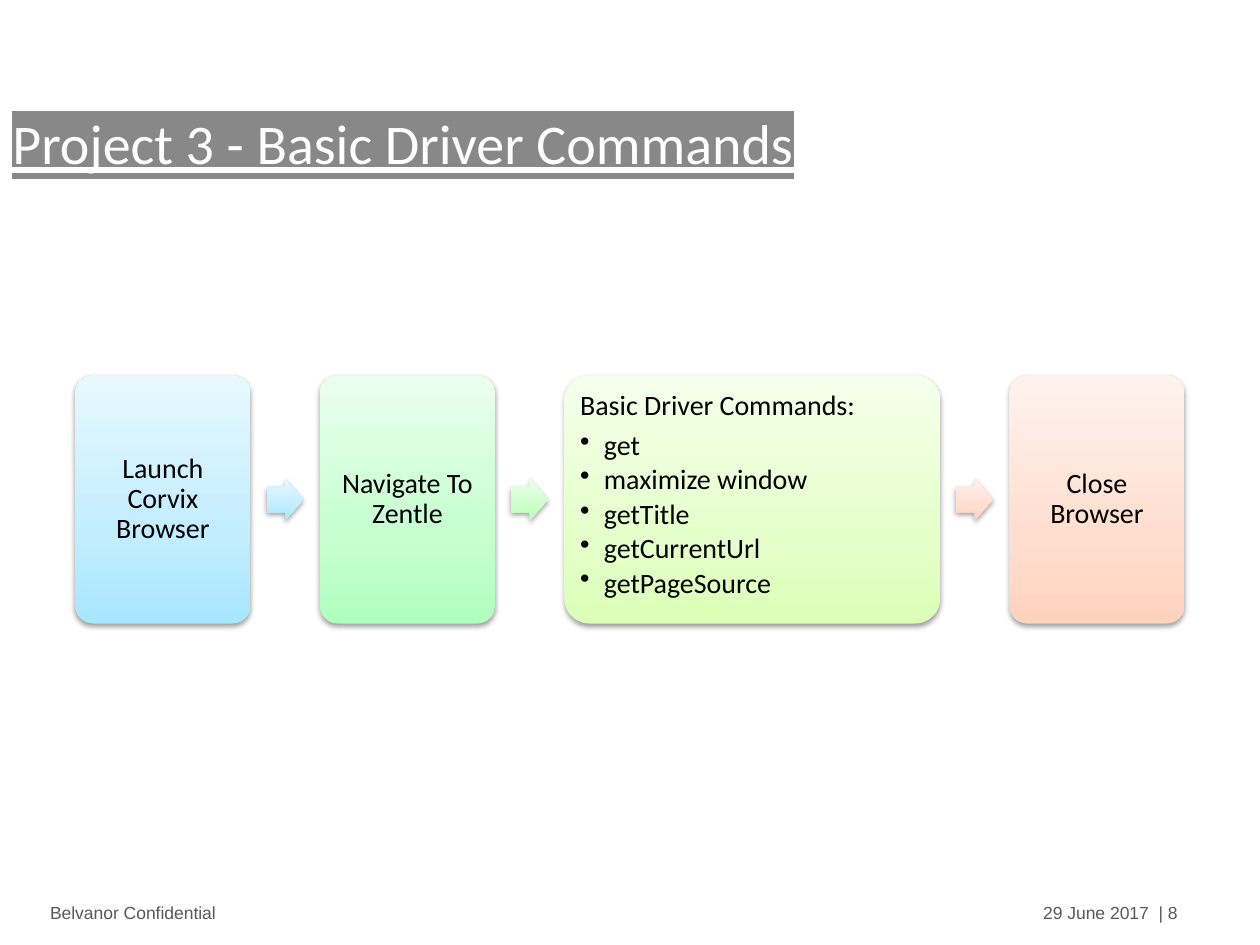
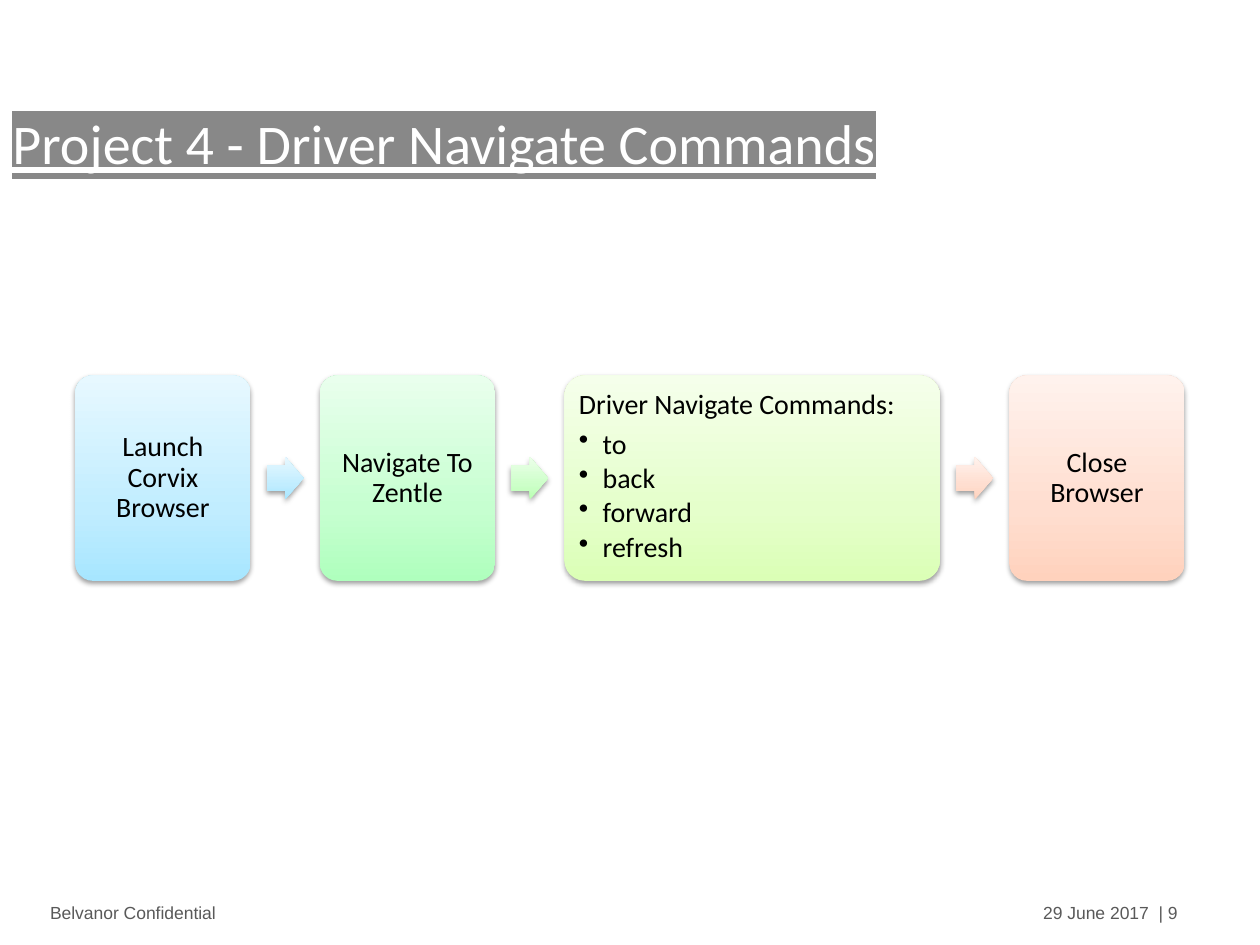
from copy import deepcopy

from lxml import etree
from pptx import Presentation
from pptx.dml.color import RGBColor
from pptx.enum.shapes import MSO_SHAPE
from pptx.enum.text import MSO_ANCHOR, PP_ALIGN
from pptx.oxml.ns import qn
from pptx.util import Cm, Pt

ROUNDED, ARROW = MSO_SHAPE.ROUNDED_RECTANGLE, MSO_SHAPE.RIGHT_ARROW
LEFT, CENTER = PP_ALIGN.LEFT, PP_ALIGN.CENTER
TOP, MIDDLE = MSO_ANCHOR.TOP, MSO_ANCHOR.MIDDLE

# Content
FOOTER = "Belvanor Confidential"
DATE = "29 June 2017"
LAUNCH, NAVIGATE, CLOSE = "Launch Corvix Browser", "Navigate To Zentle", "Close Browser"
PROJECTS = [
    {"title": "Project 3 - Basic Driver Commands", "number": 8, "height": 5.0,
     "heading": "Basic Driver Commands:",
     "commands": ["get", "maximize window", "getTitle", "getCurrentUrl", "getPageSource"]},
    {"title": "Project 4 - Driver Navigate Commands", "number": 9, "height": 4.14,
     "heading": "Driver Navigate Commands:",
     "commands": ["to", "back", "forward", "refresh"]},
]

# Colours: each gradient runs from the bottom up
WHITE = RGBColor(0xFF, 0xFF, 0xFF)
BLACK = RGBColor(0, 0, 0)
FOOTER_GRAY = RGBColor(0x59, 0x59, 0x59)
TITLE_GRAY = RGBColor(0x88, 0x88, 0x88)
BLUE = [RGBColor(0xA7, 0xE6, 0xFF), RGBColor(0xC1, 0xED, 0xFF), RGBColor(0xE7, 0xF8, 0xFF)]
MINT = [RGBColor(0xAF, 0xFF, 0xBD), RGBColor(0xC6, 0xFF, 0xD0), RGBColor(0xE9, 0xFF, 0xED)]
GREEN = [RGBColor(0xB9, 0xFF, 0xB2), RGBColor(0xCD, 0xFF, 0xC9), RGBColor(0xEC, 0xFF, 0xEA)]
LIME = [RGBColor(0xDB, 0xFF, 0xB6), RGBColor(0xE5, 0xFF, 0xCB), RGBColor(0xF5, 0xFF, 0xEB)]
PEACH = [RGBColor(0xFF, 0xD2, 0xBD), RGBColor(0xFF, 0xDE, 0xD0), RGBColor(0xFF, 0xF2, 0xED)]
STOPS = [0, 0.35, 1]

# Flow measures in centimetres
FLOW_LEFT, FLOW_TOP = 1.52, 7.57
NARROW, WIDE = 3.53, 7.57
GAP, ARROW_WIDTH, ARROW_HEIGHT = 0.33, 0.74, 0.86
INSET, BULLET_INDENT = 0.17, 0.48


def add_label(page, text, left, top, width, height, font, size, color):
    box = page.shapes.add_textbox(Cm(left), Cm(top), Cm(width), Cm(height))
    box.text_frame.word_wrap = True
    box.text_frame.text = text
    span = box.text_frame.paragraphs[0].runs[0]
    span.font.name, span.font.size = font, Pt(size)
    span.font.color.rgb = color
    return span


def add_title(page, text):
    span = add_label(page, text, 0, 2.06, 25.4, 1.45, "Calibri", 32, WHITE)
    span.font.underline = True
    highlight = etree.Element(qn("a:highlight"))
    etree.SubElement(highlight, qn("a:srgbClr"), val=str(TITLE_GRAY))
    span.font._element.find(qn("a:solidFill")).addnext(highlight)


def add_part(page, kind, left, top, width, height, colors):
    """Add a shape with a three-stop gradient and a soft shadow below."""
    shape = page.shapes.add_shape(kind, Cm(left), Cm(top), Cm(width), Cm(height))
    shape.line.fill.background()
    shape.fill.gradient()
    shape.fill.gradient_angle = 90
    properties = shape._element.spPr
    stop_list = properties.find(".//" + qn("a:gsLst"))
    stop_list.append(deepcopy(stop_list[0]))
    for stop, position, color in zip(shape.fill.gradient_stops, STOPS, colors):
        stop.position = position
        stop.color.rgb = color
    shape.shadow.inherit = False
    shadow = etree.SubElement(properties.find(qn("a:effectLst")), qn("a:outerShdw"),
                              blurRad=str(Pt(3.1)), dist=str(Pt(1.6)),
                              dir="5400000", rotWithShape="0")
    shade = etree.SubElement(shadow, qn("a:srgbClr"), val=str(BLACK))
    etree.SubElement(shade, qn("a:alpha"), val="38000")
    return shape


def add_bullet(para):
    properties = para._p.get_or_add_pPr()
    properties.set("marL", str(Cm(BULLET_INDENT)))
    properties.set("indent", str(-Cm(BULLET_INDENT)))
    etree.SubElement(properties, qn("a:buChar"), char="•")


def write_step(box, heading, commands):
    frame = box.text_frame
    frame.word_wrap = True
    frame.margin_left = frame.margin_right = Cm(INSET)
    frame.margin_top = frame.margin_bottom = Cm(INSET)
    frame.vertical_anchor = TOP if commands else MIDDLE
    frame.text = "\n".join([heading] + commands)
    for index, para in enumerate(frame.paragraphs):
        para.alignment = LEFT if commands else CENTER
        para.line_spacing = 0.9
        para.space_after = Pt(2.4 if index else 5.6)
        if index:
            add_bullet(para)
        font = para.runs[0].font
        font.name, font.size = "Calibri", Pt(16)
        font.color.rgb = BLACK


def add_flow(page, project):
    # Heading, commands, box width, box colours, colours of the arrow that follows
    steps = [
        (LAUNCH, [], NARROW, BLUE, BLUE),
        (NAVIGATE, [], NARROW, MINT, GREEN),
        (project["heading"], project["commands"], WIDE, LIME, PEACH),
        (CLOSE, [], NARROW, PEACH, None),
    ]
    height = project["height"]
    arrow_top = FLOW_TOP + (height - ARROW_HEIGHT) / 2
    left = FLOW_LEFT
    for heading, commands, width, colors, arrow_colors in steps:
        box = add_part(page, ROUNDED, left, FLOW_TOP, width, height, colors)
        box.adjustments[0] = 0.1
        write_step(box, heading, commands)
        left += width + GAP
        if arrow_colors:
            arrow = add_part(page, ARROW, left, arrow_top, ARROW_WIDTH, ARROW_HEIGHT,
                             arrow_colors)
            arrow.adjustments[0] = 0.6
            left += ARROW_WIDTH + GAP


def main():
    deck = Presentation()
    deck.slide_width, deck.slide_height = Cm(25.4), Cm(19.05)
    blank = deck.slide_layouts[6]
    for project in PROJECTS:
        page = deck.slides.add_slide(blank)
        # Footer
        add_label(page, f"{DATE}  | {project['number']}", 20.78, 18.06, 5.05, 1.02,
                  "Arial", 10, FOOTER_GRAY)
        add_label(page, FOOTER, 0.76, 18.06, 6.35, 1.02, "Arial", 10, FOOTER_GRAY)
        # Title and flow
        add_title(page, project["title"])
        add_flow(page, project)
    deck.save("out.pptx")


if __name__ == "__main__":
    main()
